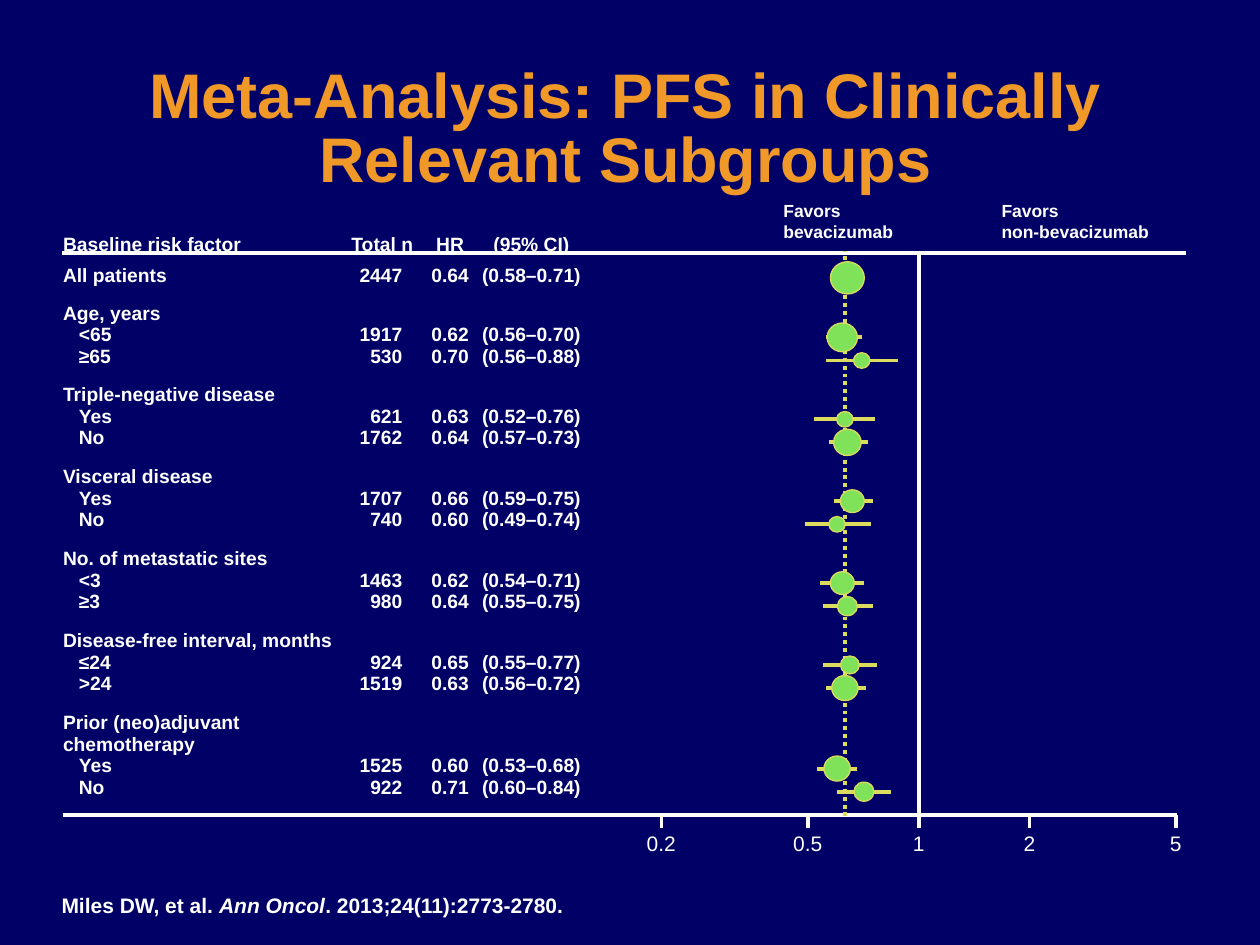
import math
import pptx
import pptx.util
import pptx.dml.color
import pptx.enum.dml
import pptx.enum.shapes
import pptx.enum.text
import pptx.oxml
import pptx.oxml.ns

Pt = pptx.util.Pt
ALIGN = pptx.enum.text.PP_ALIGN
ANCHOR = pptx.enum.text.MSO_ANCHOR
HUES = {"navy": "000066", "white": "FFFFFF", "orange": "F09828",
        "green": "7FE258", "yellow": "DDDB5E"}
PLAIN = "{2D5ABB26-0587-4C30-8999-92F81FD0307C}"  # table style without grid

LEFT, TOP = 36, 114.5
WIDTHS = [160, 45, 32.5, 60.5]
HEAD, ALL, GROUP, TALL = 33.8, 21.6, 46.8, 59.8  # row heights
LINE = 12.3
BASE = 465.8  # height of the axis
TICKS = [0.2, 0.5, 1, 2, 5]

TITLES = ["Baseline risk factor", "Total n", "HR", "(95% CI)"]
# heading, lines it takes, then (label, n, HR, low, high, dot width)
ROWS = [
    (None, 0, [("All patients", 2447, 0.64, 0.58, 0.71, 19.4)]),
    ("Age, years", 1, [("<65", 1917, 0.62, 0.56, 0.70, 17.3),
                       ("≥65", 530, 0.70, 0.56, 0.88, 9.4)]),
    ("Triple-negative disease", 1, [("Yes", 621, 0.63, 0.52, 0.76, 9.4),
                                    ("No", 1762, 0.64, 0.57, 0.73, 15.8)]),
    ("Visceral disease", 1, [("Yes", 1707, 0.66, 0.59, 0.75, 13.7),
                             ("No", 740, 0.60, 0.49, 0.74, 9.4)]),
    ("No. of metastatic sites", 1, [("<3", 1463, 0.62, 0.54, 0.71, 13.7),
                                    ("≥3", 980, 0.64, 0.55, 0.75, 11.5)]),
    ("Disease-free interval, months", 1,
     [("≤24", 924, 0.65, 0.55, 0.77, 10.8),
      (">24", 1519, 0.63, 0.56, 0.72, 15.1)]),
    ("Prior (neo)adjuvant chemotherapy", 2,
     [("Yes", 1525, 0.60, 0.53, 0.68, 15.1),
      ("No", 922, 0.71, 0.60, 0.84, 11.5)]),
]


def hue(name):
    return pptx.dml.color.RGBColor.from_string(HUES[name])


def place(ratio):
    """Horizontal position of a hazard ratio on the log axis."""
    return 525 + 147 * math.log(ratio, 5)


def apply(item, form):
    for name, value in form.items():
        setattr(item, name, value)


class Deck:
    def __init__(self):
        self.file = pptx.Presentation()
        apply(self.file, {"slide_width": Pt(720), "slide_height": Pt(540)})
        self.slide = self.file.slides.add_slide(self.file.slide_layouts[5])
        fill = self.slide.background.fill
        fill.solid()
        fill.fore_color.rgb = hue("navy")

    def style(self, para, size, color="white", bold=True):
        for run in para.runs:
            apply(run.font, {"name": "Arial", "size": Pt(size), "bold": bold})
            run.font.color.rgb = hue(color)

    def title(self, text, box):
        shape = self.slide.shapes.title
        apply(shape, dict(zip(("left", "top", "width", "height"), map(Pt, box))))
        shape.text_frame.text = text
        shape.text_frame.vertical_anchor = ANCHOR.MIDDLE
        para = shape.text_frame.paragraphs[0]
        apply(para, {"alignment": ALIGN.CENTER, "line_spacing": 0.85})
        self.style(para, 36, "orange")

    def text(self, text, box, size, bold=True, wrap=True, tabs=()):
        frame = self.slide.shapes.add_textbox(*map(Pt, box)).text_frame
        frame.word_wrap = wrap
        para = frame.paragraphs[0]
        para.text = text
        if tabs:
            stops = pptx.oxml.parse_xml(
                "<a:tabLst %s/>" % pptx.oxml.ns.nsdecls("a"))
            for spot in tabs:
                stop = stops.makeelement(pptx.oxml.ns.qn("a:tab"), {
                    "pos": str(int(Pt(spot))), "algn": "ctr"})
                stops.append(stop)
            para._p.get_or_add_pPr().append(stops)
        self.style(para, size, bold=bold)
        return para

    def line(self, x1, y1, x2, y2, color="white", dash=None, host=None):
        link = (host or self.slide).shapes.add_connector(
            pptx.enum.shapes.MSO_CONNECTOR.STRAIGHT, *map(Pt, (x1, y1, x2, y2)))
        link.line.color.rgb = hue(color)
        apply(link.line, {"width": Pt(2.25), "dash_style": dash})
        link._element.spPr.append(pptx.oxml.parse_xml(
            "<a:effectLst %s/>" % pptx.oxml.ns.nsdecls("a")))

    def dot(self, x, y, width, host):
        high = 0.95 * width
        shape = host.shapes.add_shape(
            pptx.enum.shapes.MSO_SHAPE.OVAL,
            *map(Pt, (x - width / 2, y - high / 2, width, high)))
        shape.shadow.inherit = False
        shape.fill.solid()
        shape.fill.fore_color.rgb = hue("green")
        shape.line.color.rgb = hue("yellow")
        shape.line.width = Pt(0.75)

    def cell(self, cell, lines, align, form, indent=0):
        """Fill a cell; lines after the first are indented."""
        cell.fill.background()
        apply(cell, {"margin_left": 0, "margin_right": 0, **form})
        cell.text_frame.text = "\n".join(lines)
        for i, para in enumerate(cell.text_frame.paragraphs):
            apply(para, {"alignment": align, "line_spacing": Pt(LINE)})
            if i and indent:
                para._p.get_or_add_pPr().set("marL", str(int(Pt(indent))))
            self.style(para, 11)

    def table(self, heights):
        table = self.slide.shapes.add_table(
            len(heights), len(WIDTHS), Pt(LEFT), Pt(TOP),
            Pt(sum(WIDTHS)), Pt(sum(heights))).table
        apply(table, {"first_row": False, "horz_banding": False})
        table._tbl.tblPr.find(pptx.oxml.ns.qn("a:tableStyleId")).text = PLAIN
        for col, width in zip(table.columns, WIDTHS):
            col.width = Pt(width)
        for row, height in zip(table.rows, heights):
            row.height = Pt(height)
        for i, name in enumerate(TITLES):
            self.cell(table.cell(0, i), [name],
                      ALIGN.CENTER if i else ALIGN.LEFT,
                      {"margin_top": Pt(3.6), "margin_bottom": Pt(2.5),
                       "vertical_anchor": ANCHOR.BOTTOM})
        for r, (head, deep, items) in enumerate(ROWS, 1):
            form = {"margin_top": Pt(3), "margin_bottom": Pt(3)}
            names = [head] * bool(head) + [item[0] for item in items]
            self.cell(table.cell(r, 0), names, ALIGN.LEFT, form, 9)
            form["margin_top"] = Pt(3 + LINE * deep)
            self.cell(table.cell(r, 1), [str(item[1]) for item in items],
                      ALIGN.RIGHT, {**form, "margin_right": Pt(11)})
            self.cell(table.cell(r, 2), [f"{item[2]:.2f}" for item in items],
                      ALIGN.CENTER, form)
            self.cell(table.cell(r, 3),
                      [f"({item[3]:.2f}–{item[4]:.2f})" for item in items],
                      ALIGN.CENTER, form)

    def forest(self, heights):
        """Draw a dot and an interval for every subgroup."""
        top = TOP + heights[0]
        for (head, deep, items), height in zip(ROWS, heights[1:]):
            for i, (_, _, ratio, low, high, width) in enumerate(items):
                y = top + 10.5 + 12.4 * deep + 13.2 * i
                host = self.slide
                if head:
                    host = self.slide.shapes.add_group_shape()
                    self.line(place(low), y, place(high), y, "yellow", host=host)
                self.dot(place(ratio), y, width, host)
            top += height


def main():
    deck = Deck()
    deck.title("Meta-Analysis: PFS in Clinically Relevant Subgroups",
               (22.3, 34.5, 670.3, 81.4))
    heights = [HEAD, ALL] + [GROUP] * 5 + [TALL]
    deck.table(heights)

    deck.line(36, BASE, 672.5, BASE)
    deck.line(35.3, 144.7, 677.5, 144.7)
    deck.line(place(1), 466.5, place(1), 143.3)
    deck.line(483.1, 466.5, 483.1, 143.3, "yellow",
              pptx.enum.dml.MSO_LINE.ROUND_DOT)
    for tick in TICKS:
        deck.line(place(tick), BASE, place(tick), BASE + 7.2)
    start = 233.3
    deck.text("".join(f"\t{tick}" for tick in TICKS),
              (start, 470.9, 462.2, 21.6), 12, bold=False,
              tabs=[place(tick) - start - 7.2 for tick in TICKS])

    for name, x, width in (("bevacizumab", 440.6, 80),
                           ("non-bevacizumab", 565.2, 101.5)):
        deck.text("Favors\v" + name, (x, 110.9, width, 31), 10, wrap=False)
    deck.forest(heights)

    cite = deck.text("Miles DW, et al. ", (28.1, 506.2, 404.6, 21.6), 12)
    for part, slant in (("Ann Oncol", True), (". 2013;24(11):2773-2780.", False)):
        run = cite.add_run()
        run.text = part
        run.font.italic = slant
    deck.style(cite, 12)
    deck.file.save("out.pptx")


if __name__ == "__main__":
    main()
